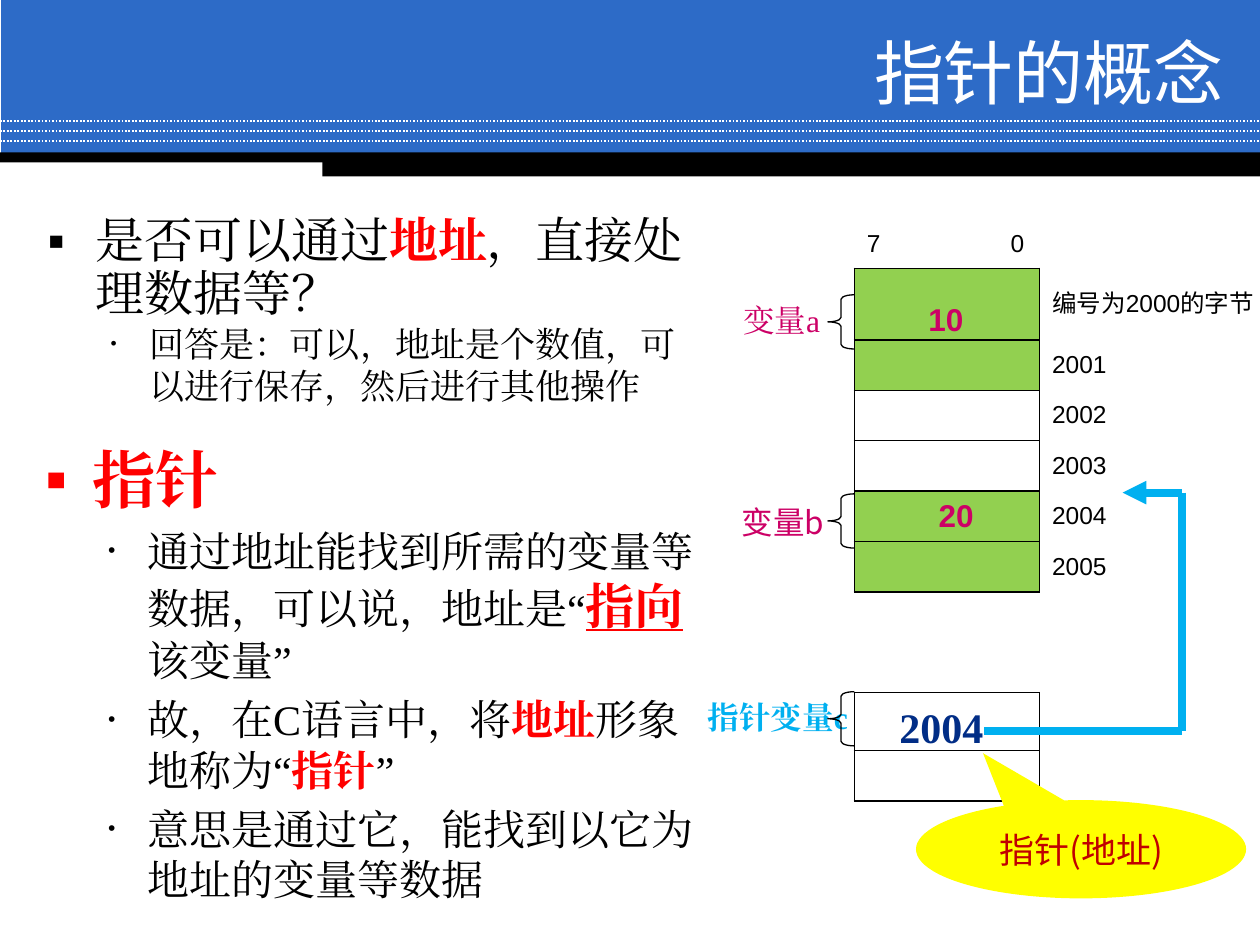
from lxml.etree import SubElement
from pptx import Presentation
from pptx.dml.color import RGBColor
from pptx.enum.dml import MSO_LINE
from pptx.enum.shapes import MSO_CONNECTOR, MSO_SHAPE
from pptx.enum.text import MSO_ANCHOR, PP_ALIGN
from pptx.oxml.ns import qn
from pptx.util import Inches, Pt

BLUE = RGBColor(0x2D, 0x6B, 0xC7)
WHITE = RGBColor(0xFF, 0xFF, 0xFF)
BLACK = RGBColor(0, 0, 0)
RED = RGBColor(0xFF, 0, 0)
DARK_RED = RGBColor(0xC0, 0, 0)
GREEN = RGBColor(0x92, 0xD0, 0x50)
PINK = RGBColor(0xCC, 0, 0x66)
SKY = RGBColor(0, 0xB0, 0xF0)
YELLOW = RGBColor(0xFF, 0xFF, 0)
NAVY = RGBColor(0x01, 0x2D, 0x86)
DEEP_NAVY = RGBColor(0x0E, 0x25, 0x57)

SANS, SERIF, ARIAL = "Noto Sans CJK SC", "Times New Roman", "Arial"
NO_STYLE = "{2D5ABB26-0587-4C30-8999-92F81FD0307C}"
KEY = dict(bold=True, color=RED)


def add_span(para, text, color=BLACK, **formats):
    span = para.add_run()
    span.text = text
    for name, value in formats.items():
        setattr(span.font, name, value)
    span.font.color.rgb = color
    east_asian = SubElement(span.font._element, qn("a:ea"))
    east_asian.set("typeface", formats["name"])
    return span


def add_text(page, left, top, width, height, text="", **formats):
    box = page.shapes.add_textbox(Inches(left), Inches(top), Inches(width), Inches(height))
    box.text_frame.word_wrap = True
    if text:
        add_span(box.text_frame.paragraphs[0], text, **formats)
    return box


def add_filled(page, kind, left, top, width, height, color):
    shape = page.shapes.add_shape(kind, Inches(left), Inches(top), Inches(width), Inches(height))
    shape.shadow.inherit = False
    shape.fill.solid()
    shape.fill.fore_color.rgb = color
    shape.line.fill.background()
    return shape


def add_line(page, start, end, color, width):
    line = page.shapes.add_connector(
        MSO_CONNECTOR.STRAIGHT, *(Inches(value) for value in (*start, *end)))
    line.line.color.rgb = color
    line.line.width = Pt(width)
    SubElement(line._element.spPr, qn("a:effectLst"))
    return line


def add_header(page, left, top, width):
    add_filled(page, MSO_SHAPE.RECTANGLE, left + 0.01, top, width - 0.01, 1.23, BLUE)
    for row in range(3):
        y = top + 0.96 + 0.08 * row
        add_line(page, (left, y), (left + width, y), WHITE, 1).line.dash_style = MSO_LINE.ROUND_DOT
    add_filled(page, MSO_SHAPE.RECTANGLE, left, top + 1.21, width, 0.08, BLACK)
    add_filled(page, MSO_SHAPE.RECTANGLE, left + 2.56, top + 1.24, width - 2.56, 0.16, BLACK)
    title = add_text(page, left + 2.89, top + 0.28, 6.92, 0.58, "指针的概念",
                     color=WHITE, size=Pt(40), name=SANS)
    title.text_frame.vertical_anchor = MSO_ANCHOR.MIDDLE
    title.text_frame.paragraphs[0].alignment = PP_ALIGN.RIGHT


def set_bullet(para, level):
    margin, hang, mark = ((0.38, 0.38, "▪"), (0.81, 0.31, "•"))[level]
    para.level = level
    props = para._p.get_or_add_pPr()
    props.set("marL", str(Inches(margin)))
    props.set("indent", str(-Inches(hang)))
    if level:
        SubElement(props, qn("a:buSzPct")).set("val", "50000")
    SubElement(props, qn("a:buFont")).set("typeface", ARIAL)
    SubElement(props, qn("a:buChar")).set("char", mark)


def add_outline(page, left, top, width, height, items):
    """Each item is (level, size, space before, line spacing, spans)."""
    frame = add_text(page, left, top, width, height).text_frame
    for index, (level, size, before, spacing, spans) in enumerate(items):
        para = frame.add_paragraph() if index else frame.paragraphs[0]
        set_bullet(para, level)
        para.space_before = Pt(before)
        para.line_spacing = spacing
        for text, changes in spans:
            add_span(para, text, **{"size": Pt(size), "name": SERIF, **changes})


def set_borders(cell, sides):
    props = cell._tc.get_or_add_tcPr()
    for position, side in enumerate("LRTB"):
        if side in sides:
            border = SubElement(props, qn(f"a:ln{side}"), w=str(Pt(1)))
            fill = SubElement(border, qn("a:solidFill"))
            SubElement(fill, qn("a:srgbClr"), val=str(BLACK))


def add_memory(page, left, top, width, height):
    # One row each: address label, cell colour, borders of the memory cell
    rows = [("", None, "B"), ("编号为2000的字节", GREEN, "LRTB"), ("2001", GREEN, "LRTB"),
            ("2002", None, "LRTB"), ("2003", None, "LRTB"), ("2004", GREEN, "LRTB"),
            ("2005", GREEN, "LRT"), ("", None, ""), ("", None, "B"),
            (".........", None, "LRT"), ("", None, "LRB")]
    table = page.shapes.add_table(len(rows), 2, Inches(left), Inches(top),
                                  Inches(width), Inches(height)).table
    table.first_row = table.horz_banding = False
    table._tbl.tblPr.find(qn("a:tableStyleId")).text = NO_STYLE
    table.columns[0].width = Inches(1.47)
    table.columns[1].width = Inches(width - 1.47)
    heights = {0: 0.35, 9: 0.46}
    for index, (label, color, sides) in enumerate(rows):
        table.rows[index].height = Inches(heights.get(index, 0.4))
        memory, address = table.cell(index, 0), table.cell(index, 1)
        set_borders(memory, sides)
        for cell in (memory, address):
            cell.fill.background()
            cell.vertical_anchor = MSO_ANCHOR.MIDDLE
            cell.text_frame.paragraphs[0].font.size = Pt(14)
        if color:
            memory.fill.solid()
            memory.fill.fore_color.rgb = color
        if label:
            add_span(address.text_frame.paragraphs[0], label, size=Pt(14), name=ARIAL)
    # Bit numbers at both ends of the top row
    bits = table.cell(0, 0)
    bits.vertical_anchor = MSO_ANCHOR.TOP
    para = bits.text_frame.paragraphs[0]
    props = para._p.get_or_add_pPr()
    tabs = SubElement(props, qn("a:tabLst"))
    props.insert(0, tabs)
    SubElement(tabs, qn("a:tab"), pos=str(Inches(1.25)), algn="r")
    add_span(para, "7\t0", size=Pt(14), name=ARIAL)


def add_variables(page, left):
    # Names with braces
    for x, y, width, brace_y, text, formats in (
            (0.28, 2.34, 1.02, 2.34, "变量a", dict(color=PINK, name=SERIF)),
            (0.27, 3.94, 1.02, 3.92, "变量b", dict(color=PINK, name=SANS)),
            (0, 5.49, 1.34, 5.49, "指针变量c", dict(color=SKY, name=SERIF, bold=True))):
        add_text(page, left + x, y, width, 0.4, text, size=Pt(18), **formats)
        brace = add_filled(page, MSO_SHAPE.LEFT_BRACE, left + 1.05, brace_y, 0.21, 0.43, WHITE)
        brace.fill.background()
        brace.adjustments[0] = 0.168
        brace.line.color.rgb = BLACK
        brace.line.width = Pt(0.75)
    # Stored values
    for x, y, text in ((1.75, 2.33, "10"), (1.83, 3.89, "20")):
        add_text(page, left + x, y, 0.62, 0.4, text, color=PINK, size=Pt(18), name=ARIAL, bold=True)
    pointer = add_text(page, left + 1.52, 5.52, 0.95, 0.5, "2004", size=Pt(24), name=SERIF, bold=True)
    fill = pointer.text_frame.paragraphs[0].runs[0].font.fill
    fill.gradient()
    fill.gradient_angle = 0
    for stop, color, position in zip(fill.gradient_stops, (NAVY, DEEP_NAVY), (0, 1)):
        stop.color.rgb = color
        stop.position = position


def add_pointer_route(page, right, top, bottom):
    for start, end in (((right, top), (right, bottom)), ((right - 1.57, bottom), (right, bottom))):
        add_line(page, start, end, SKY, 4.5)
    arrow = add_line(page, (right, top), (right - 0.47, top), SKY, 4.5)
    SubElement(arrow.line._get_or_add_ln(), qn("a:tailEnd"), type="triangle")


def add_callout(page, left, top, width, height):
    callout = add_filled(page, MSO_SHAPE.OVAL_CALLOUT, left, top, width, height, YELLOW)
    callout.adjustments[0], callout.adjustments[1] = -0.297, -0.978
    callout.text_frame.vertical_anchor = MSO_ANCHOR.MIDDLE
    para = callout.text_frame.paragraphs[0]
    para.alignment = PP_ALIGN.CENTER
    add_span(para, "指针(地址)", color=DARK_RED, size=Pt(20), name=SANS)


def main():
    deck = Presentation()
    deck.slide_width, deck.slide_height = Inches(10), Inches(7.5)
    page = deck.slides.add_slide(deck.slide_layouts[6])
    add_header(page, 0, 0, 10)
    add_outline(page, 0.26, 3.45, 5.37, 4.08, [
        (0, 36, 0, 1, [("指针", KEY)]),
        (1, 24, 5, 1, [("通过地址能找到所需的变量等数据，可以说，地址是“", {}),
                       ("指向", dict(KEY, size=Pt(28), underline=True)), ("该变量”", {})]),
        (1, 24, 5, 1, [("故，在C语言中，将", {}), ("地址", KEY), ("形象地称为“", {}),
                       ("指针", KEY), ("”", {})]),
        (1, 24, 5, 1, [("意思是通过它，能找到以它为地址的变量等数据", {})])])
    add_memory(page, 6.78, 1.78, 3.36, 4.41)
    add_variables(page, 5.52)
    add_pointer_route(page, 9.38, 3.91, 5.8)
    add_callout(page, 7.27, 6.35, 2.62, 0.78)
    add_outline(page, 0.28, 1.67, 5.35, 1.54, [
        (0, 28, 0, 0.9, [("是否可以通过", {}), ("地址", KEY), ("，直接处理数据等？", {})]),
        (1, 20, 0, 1, [("回答是：可以，地址是个数值，可以进行保存，然后进行其他操作", {})])])
    deck.save("out.pptx")


if __name__ == "__main__":
    main()
